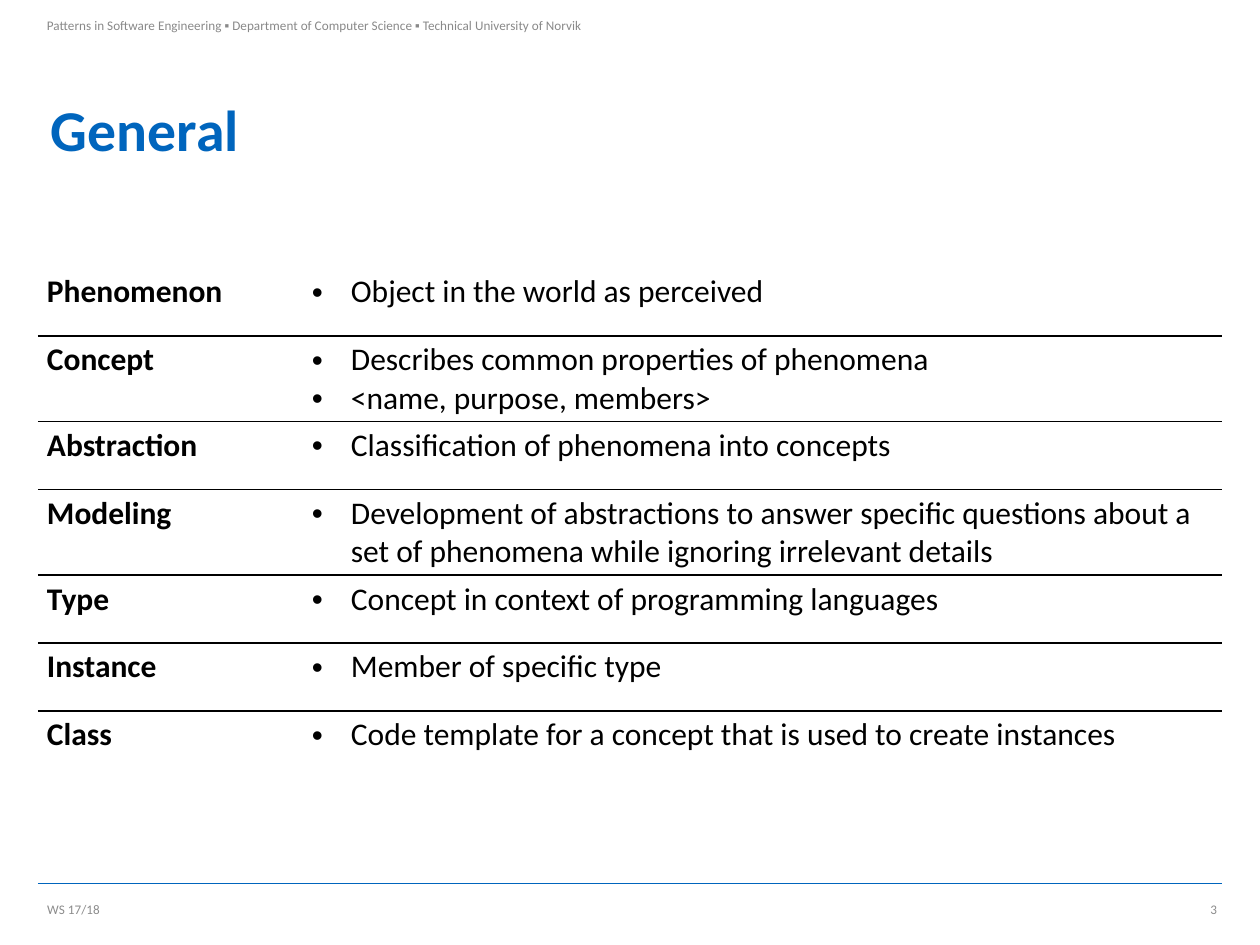
from lxml import etree
from pptx import Presentation, util as u
from pptx.dml.color import RGBColor
from pptx.enum import shapes, text
from pptx.oxml.ns import qn

SCALE = 914400 // 126
BLUE, BLACK, GREY = "0065BD", "000000", "898989"
FOOTER_GREY = "8C8C8C"
LEFT, WIDTH = 38, 1184


def px(length):
    """Turn whole pixels into EMU."""
    return u.Emu(length * SCALE)


def colour(value):
    """Turn a hex string into a colour."""
    return RGBColor.from_string(value)


def write(frame, lines, size=18, color=BLACK, bold=False, bullet=False,
          align=text.PP_ALIGN.LEFT, spacing=None):
    """Fill a text frame with one paragraph for each line."""
    for index, line in enumerate(lines):
        paragraph = frame.add_paragraph() if index else frame.paragraphs[0]
        paragraph.alignment = align
        if spacing:
            paragraph.line_spacing = spacing
        run = paragraph.add_run()
        run.text = line
        run.font.name, run.font.size, run.font.bold = "Calibri", u.Pt(size), bold
        run.font.color.rgb = colour(color)
        if bullet:
            properties = paragraph._p.get_or_add_pPr()
            properties.set("marL", str(px(39)))
            properties.set("indent", str(-px(39)))
            etree.SubElement(properties, qn("a:buFont"), typeface="Arial")
            etree.SubElement(properties, qn("a:buChar"), char="•")


def set_border(cell, side, color=None):
    """Draw one side of a cell, or hide it when no colour is given."""
    properties = cell._tc.get_or_add_tcPr()
    line = etree.SubElement(properties, qn("a:ln" + side), w=str(u.Pt(1)))
    if color:
        fill = etree.SubElement(line, qn("a:solidFill"))
        etree.SubElement(fill, qn("a:srgbClr"), val=color)
    else:
        etree.SubElement(line, qn("a:noFill"))


class Deck:
    """Holds the style and the current slide."""

    def __init__(self, presentation):
        """Add a blank slide."""
        self.slide = presentation.slides.add_slide(presentation.slide_layouts[6])

    def text(self, box, line, insets=(13, 6, 13, 6),
             anchor=text.MSO_ANCHOR.MIDDLE, **style):
        """Add a text box."""
        frame = self.slide.shapes.add_textbox(*map(px, box)).text_frame
        frame.word_wrap = True
        frame.vertical_anchor = anchor
        (frame.margin_left, frame.margin_top,
         frame.margin_right, frame.margin_bottom) = map(px, insets)
        write(frame, [line], **style)

    def rule(self, left, top, right, color, weight):
        """Add a horizontal line."""
        line = self.slide.shapes.add_connector(
            shapes.MSO_CONNECTOR.STRAIGHT, px(left), px(top), px(right), px(top))
        line.line.color.rgb = colour(color)
        line.line.width = u.Pt(weight)
        etree.SubElement(line._element.spPr, qn("a:effectLst"))

    def definitions(self, left, top, columns, row_height, entries):
        """Add a table of terms and bulleted meanings, ruled between rows."""
        table = self.slide.shapes.add_table(
            len(entries), len(columns), px(left), px(top),
            px(sum(columns)), px(row_height * len(entries))).table
        table.first_row = table.horz_banding = False
        for column, width in zip(table.columns, columns):
            column.width = px(width)
        last = len(entries) - 1
        for row, (term, meanings) in enumerate(entries):
            table.rows[row].height = px(row_height)
            for column, lines in enumerate(([term], meanings)):
                cell = table.cell(row, column)
                cell.margin_left = cell.margin_right = px(9)
                cell.margin_top = cell.margin_bottom = px(5)
                set_border(cell, "L")
                set_border(cell, "R")
                set_border(cell, "T", BLACK if row else None)
                set_border(cell, "B", BLACK if row < last else None)
                cell.fill.background()
                write(cell.text_frame, lines, bold=column == 0, bullet=column == 1)


presentation = Presentation()
presentation.slide_width, presentation.slide_height = px(1260), px(945)
deck = Deck(presentation)

deck.rule(LEFT, 884, LEFT + WIDTH, BLUE, 0.5)
deck.text((LEFT, 0, 592, 86),
          "Patterns in Software Engineering ▪ Department of Computer Science ▪ "
          "Technical University of Norvik",
          insets=(9, 24, 13, 6), anchor=text.MSO_ANCHOR.TOP, size=7.5, color=GREY)
deck.text((LEFT, 86, WIDTH, 93), "General", size=33, color=BLUE, bold=True,
          spacing=0.9)

deck.definitions(LEFT, 268, (265, WIDTH - 265), 68, [
    ("Phenomenon", ["Object in the world as perceived"]),
    ("Concept", ["Describes common properties of phenomena",
                 "<name, purpose, members>"]),
    ("Abstraction", ["Classification of phenomena into concepts"]),
    ("Modeling", ["Development of abstractions to answer specific questions "
                  "about a set of phenomena while ignoring irrelevant details"]),
    ("Type", ["Concept in context of programming languages"]),
    ("Instance", ["Member of specific type"]),
    ("Class", ["Code template for a concept that is used to create instances"]),
])

for left, width, line, align in (
        (LEFT, 71, "WS 17/18", text.PP_ALIGN.CENTER),
        (1166, 56, "3", text.PP_ALIGN.RIGHT)):
    deck.text((left, 895, width, 29), line, insets=(5, 6, 5, 6), size=7.5,
              color=FOOTER_GREY, align=align)

presentation.save("out.pptx")
